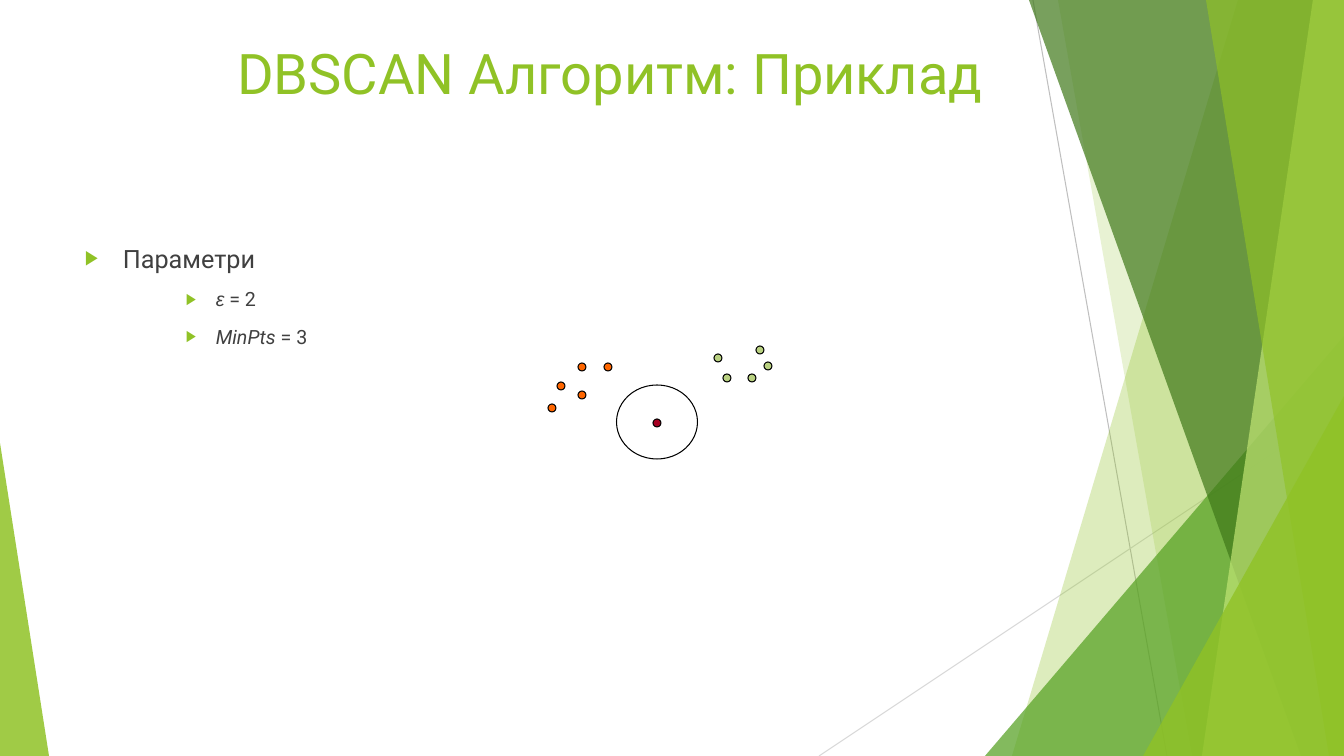
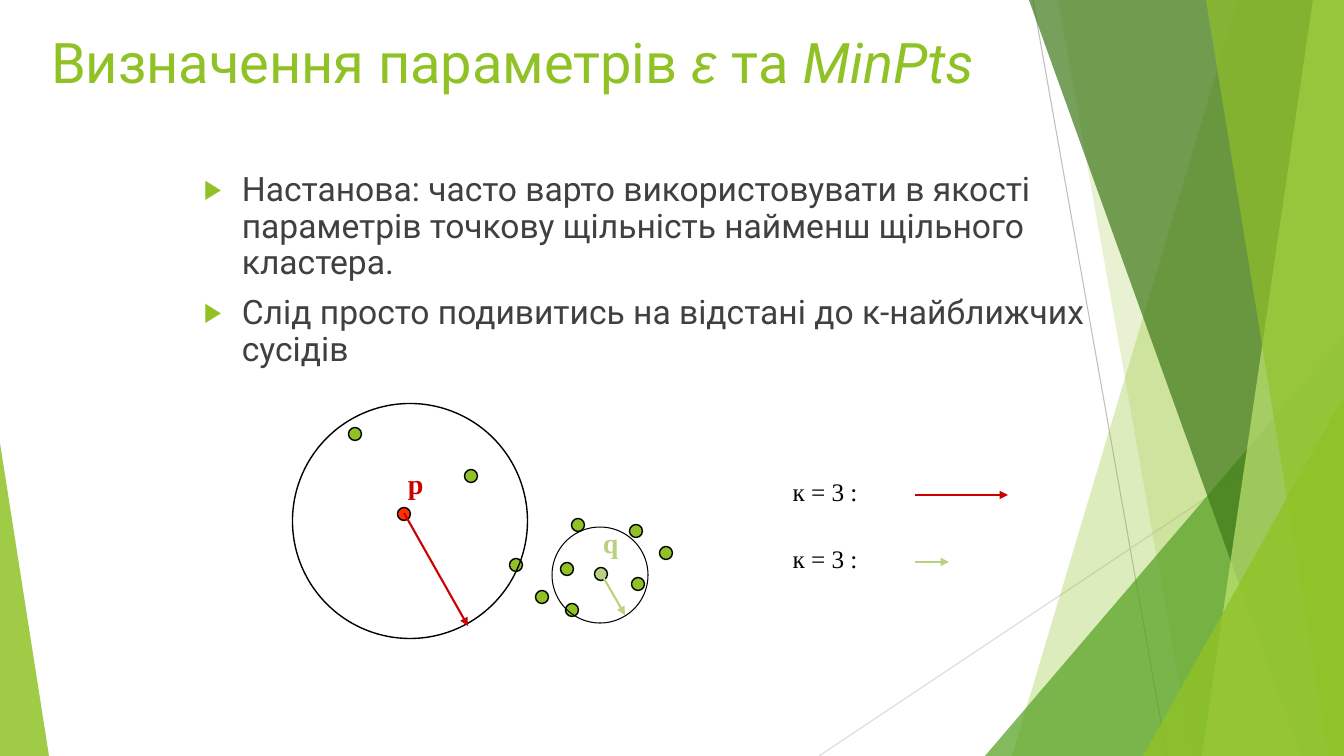
from lxml import etree
from pptx import Presentation
from pptx import util as u
from pptx.dml.color import RGBColor
from pptx.enum import shapes, text
from pptx.oxml.ns import qn

SCALE = 914400 / 100.8
WIDTH, HEIGHT = 1344, 756
TITLE_ONLY = 5
COLORS = {
    "lime": "90C226", "leaf": "54A021", "forest": "3F7819", "pale": "C0E474",
    "body": "404040", "black": "000000", "rule": "BFBFBF", "faint": "D9D9D9",
    "orange": "FF6600", "sage": "B9D181", "noise": "A50021",
    "red": "CC0000", "scarlet": "FF3300",
}
SANS, GREEK, SERIF = "Roboto", "Arial", "Times New Roman"


def px(length):
    """Turn pixels into EMU."""
    return u.Emu(round(length * SCALE))


def rgb(name):
    """Return the named colour."""
    return RGBColor.from_string(COLORS[name])


def child(parent, tag, **attributes):
    """Append a drawing element with the given attributes."""
    return etree.SubElement(parent, qn(tag), attributes)


def paint(shape, fill=None, line=None, weight=0.75, opacity=None):
    """Set fill, outline and opacity of a shape, without shadow."""
    shape.shadow.inherit = False
    if fill:
        shape.fill.solid()
        shape.fill.fore_color.rgb = rgb(fill)
    else:
        shape.fill.background()
    if line:
        shape.line.color.rgb = rgb(line)
        shape.line.width = u.Pt(weight)
    else:
        shape.line.fill.background()
    if opacity:
        color = shape.element.spPr.find(qn("a:solidFill"))[0]
        child(color, "a:alpha", val=str(opacity * 1000))
    return shape


def add_line(slide, start, end, color, weight=0.75, arrow=False):
    """Draw a straight line, with an arrowhead at its end if asked."""
    line = slide.shapes.add_connector(
        shapes.MSO_CONNECTOR.STRAIGHT, *map(px, (*start, *end)))
    line.line.color.rgb = rgb(color)
    line.line.width = u.Pt(weight)
    if arrow:
        child(line.line._get_or_add_ln(), "a:tailEnd", type="triangle")
    child(line.element.spPr, "a:effectLst")
    return line


def add_ellipse(slide, center, width, height, fill=None, weight=0.75):
    """Draw a black-outlined ellipse around a centre."""
    x, y = center
    ellipse = slide.shapes.add_shape(
        shapes.MSO_SHAPE.OVAL,
        *map(px, (x - width / 2, y - height / 2, width, height)))
    return paint(ellipse, fill, "black", weight)


def add_runs(paragraph, runs, size, color, bold=False):
    """Add (words, font, italic) runs to a paragraph."""
    for words, font, italic in runs:
        run = paragraph.add_run()
        run.text = words
        run.font.name = font
        run.font.size = u.Pt(size)
        run.font.italic = italic
        run.font.bold = bold
        run.font.color.rgb = rgb(color)


def add_label(slide, box, words, size, color, bold=False, centered=False):
    """Write one serif line in a text box."""
    label = slide.shapes.add_textbox(*map(px, box))
    label.text_frame.word_wrap = not centered
    paragraph = label.text_frame.paragraphs[0]
    if centered:
        paragraph.alignment = text.PP_ALIGN.CENTER
    add_runs(paragraph, [(words, SERIF, False)], size, color, bold)


def add_band(slide, top_left, bottom_left, color, opacity):
    """Draw a slanted band that reaches the right edge."""
    builder = slide.shapes.build_freeform(top_left, 0, scale=SCALE)
    builder.add_line_segments(
        [(WIDTH, 0), (WIDTH, HEIGHT), (bottom_left, HEIGHT)], close=True)
    return paint(builder.convert_to_shape(), color, opacity=opacity)


def add_corner(slide, left, top, width, apex, color, opacity):
    """Draw a right triangle that stands on the bottom edge."""
    triangle = slide.shapes.add_shape(
        shapes.MSO_SHAPE.ISOSCELES_TRIANGLE,
        *map(px, (left, top, width, HEIGHT - top)))
    triangle.adjustments[0] = apex
    return paint(triangle, color, opacity=opacity)


def decorate_layout(layout, slide):
    """Draw the facets once and move them to the shared layout."""
    facets = [
        add_line(slide, (1033, 0), (1167, HEIGHT), "rule"),
        add_line(slide, (WIDTH, 406), (819, HEIGHT), "faint"),
        add_band(slide, 1238, 1012, "lime", 30),
        add_band(slide, 1058, 1192, "lime", 20),
        add_corner(slide, 985, 336, WIDTH - 985, 1, "leaf", 72),
        add_band(slide, 1029, 1301, "forest", 70),
        add_band(slide, 1313, 1202, "pale", 70),
        add_band(slide, 1206, 1329, "lime", 65),
        add_corner(slide, 1143, 396, WIDTH - 1143, 1, "lime", 80),
        add_corner(slide, 0, 443, 49, 0, "lime", 85),
    ]
    for facet in facets:
        layout.shapes.element.append(facet.element)


def set_title(slide, box, runs):
    """Place and fill the title placeholder."""
    title = slide.shapes.title
    title.left, title.top, title.width, title.height = map(px, box)
    frame = title.text_frame
    frame.word_wrap = True
    frame.auto_size = text.MSO_AUTO_SIZE.NONE
    frame.vertical_anchor = text.MSO_ANCHOR.TOP
    paragraph = frame.paragraphs[0]
    paragraph.alignment = text.PP_ALIGN.LEFT
    add_runs(paragraph, runs, 40, "lime")


def add_bullets(slide, box, items, spacing=1.0):
    """Write (margin, hang, size, runs) items as a bulleted list."""
    frame = slide.shapes.add_textbox(*map(px, box)).text_frame
    frame.word_wrap = True
    for index, (margin, hang, size, runs) in enumerate(items):
        paragraph = frame.add_paragraph() if index else frame.paragraphs[0]
        paragraph.space_before = u.Pt(10)
        paragraph.line_spacing = spacing
        properties = paragraph._p.get_or_add_pPr()
        properties.set("marL", str(px(margin)))
        properties.set("indent", str(-px(hang)))
        color = child(properties, "a:buClr")
        child(color, "a:srgbClr", val=COLORS["lime"])
        child(properties, "a:buSzPct", val="80000")
        child(properties, "a:buFont", typeface=GREEK)
        child(properties, "a:buChar", char="▶")
        add_runs(paragraph, runs, size, "body")


def add_clusters(slide, box):
    """Plot two clusters and a noise point with its neighbourhood."""
    left, top = box
    clusters = {
        "orange": [(4, 63), (34, 22), (60, 22), (13, 41), (34, 50)],
        "sage": [(179, 33), (170, 13), (204, 33), (220, 21), (212, 5)],
        "noise": [(109, 78)],
    }
    add_ellipse(slide, (left + 109, top + 77), 81, 74)
    for color, points in clusters.items():
        for x, y in points:
            add_ellipse(slide, (left + x, top + y), 8, 8, color)


def add_neighbours(slide, box):
    """Plot points p and q with the circles of their nearest neighbours."""
    left, top = box
    points = {
        "lime": [(250, 194), (224, 162), (374, 150), (275, 166), (286, 122),
                 (344, 128), (346, 181), (280, 207), (179, 73), (63, 31)],
        "sage": [(309, 171)],
        "scarlet": [(112, 111)],
    }
    for color, centers in points.items():
        for x, y in centers:
            add_ellipse(slide, (left + x, top + y), 13, 13, color, 1)
    circles = [
        ("p", "red", (118, 118), 235, 1, (106, 59), (112, 110), (176, 223)),
        ("q", "sage", (308, 172), 96, 0.75, (301, 118), (310, 172), (333, 212)),
    ]
    for name, color, center, size, weight, corner, start, end in circles:
        center, corner, start, end = (
            (left + x, top + y) for x, y in (center, corner, start, end))
        add_ellipse(slide, center, size, size, weight=weight)
        add_label(slide, (*corner, 55, 61), name, 20, color, bold=True)
        add_line(slide, start, end, color, 1.5, arrow=True)


def add_legend(slide, box):
    """List the radius arrows, one row each."""
    left, top = box
    for row, (color, length) in enumerate([("red", 93), ("sage", 34)]):
        y = top + 67 * row
        add_label(slide, (left, y, 86, 40), "к = 3 :", 18, "black", centered=True)
        add_line(slide, (left + 133, y + 24), (left + 133 + length, y + 24),
                 color, 1.5, arrow=True)


def build_example(slide):
    """Build the slide with the DBSCAN example."""
    set_title(slide, (227, 33, 899, 159), [("DBSCAN Алгоритм: Приклад", SANS, False)])
    add_bullets(slide, (75, 238, 948, 427), [
        (38, 38, 18, [("Параметри", SANS, False)]),
        (126, 25, 14, [(" ", SANS, False), ("ε", GREEK, True), (" = 2 ", SANS, False)]),
        (126, 25, 14, [(" ", SANS, False), ("MinPts", SANS, True), (" = 3", SANS, False)]),
    ])
    add_clusters(slide, (548, 345))


def build_parameters(slide):
    """Build the slide on choosing the parameters."""
    set_title(slide, (41, 22, 950, 143), [
        ("Визначення параметрів ", SANS, False), ("ε ", GREEK, True),
        ("та ", SANS, False), ("MinPts", SANS, True)])
    advice = [
        "Настанова: часто варто використовувати в якості параметрів "
        "точкову щільність найменш щільного кластера.",
        "Слід просто подивитись на відстані до к-найближчих сусідів",
    ]
    add_bullets(slide, (194, 168, 966, 521),
                [(38, 38, 24, [(words, SANS, False)]) for words in advice], 0.9)
    add_legend(slide, (782, 471))
    add_neighbours(slide, (292, 403))


def main():
    """Build and save the presentation."""
    presentation = Presentation()
    presentation.slide_width, presentation.slide_height = px(WIDTH), px(HEIGHT)
    layout = presentation.slide_layouts[TITLE_ONLY]
    example, parameters = (presentation.slides.add_slide(layout) for _ in range(2))
    decorate_layout(layout, example)
    build_example(example)
    build_parameters(parameters)
    presentation.save("out.pptx")


main()
